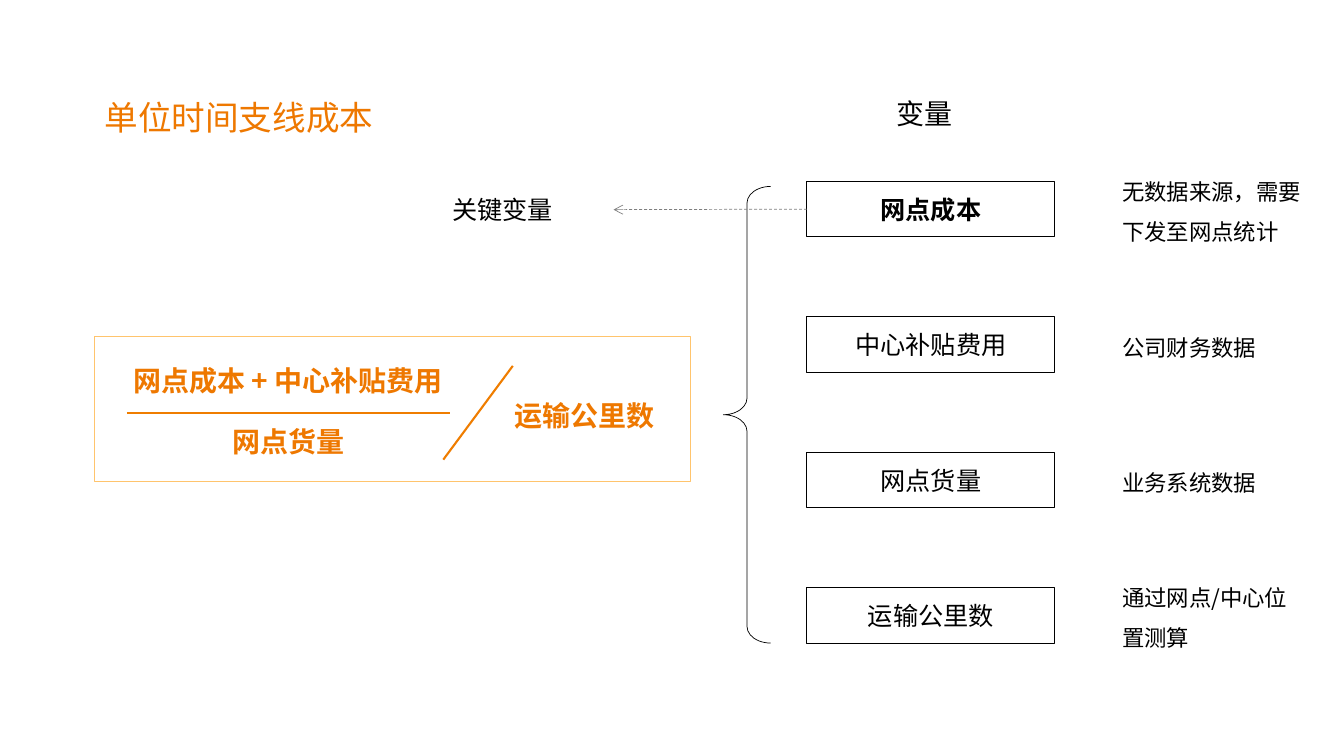
from lxml import etree
from pptx import Presentation
from pptx.dml.color import RGBColor
from pptx.enum.dml import MSO_LINE
from pptx.enum.shapes import MSO_CONNECTOR, MSO_SHAPE
from pptx.enum.text import MSO_ANCHOR, MSO_AUTO_SIZE, PP_ALIGN
from pptx.oxml.ns import qn
from pptx.util import Inches, Pt

FONT = "Noto Sans CJK SC"
ORANGE = RGBColor(0xEE, 0x78, 0x00)
RULE_ORANGE = RGBColor(0xEF, 0x7D, 0x00)
FRAME_ORANGE = RGBColor(0xFF, 0xC4, 0x6D)
BLACK = RGBColor(0, 0, 0)
GRAY = RGBColor(0x7F, 0x7F, 0x7F)
WHITE = RGBColor(0xFF, 0xFF, 0xFF)

LEFT, CENTER = PP_ALIGN.LEFT, PP_ALIGN.CENTER
MIDDLE = MSO_ANCHOR.MIDDLE
FIT_SHAPE = MSO_AUTO_SIZE.SHAPE_TO_FIT_TEXT
RECTANGLE, LEFT_BRACE = MSO_SHAPE.RECTANGLE, MSO_SHAPE.LEFT_BRACE
STRAIGHT = MSO_CONNECTOR.STRAIGHT
DASH = MSO_LINE.DASH

# Variable name and where its data comes from
VARIABLES = [
    ("网点成本", "无数据来源，需要下发至网点统计"),
    ("中心补贴费用", "公司财务数据"),
    ("网点货量", "业务系统数据"),
    ("运输公里数", "通过网点/中心位置测算"),
]
LINE_CHARS = 8  # characters that fit on one line of a source note


def set_text(sp, text, size, color=BLACK, bold=False, align=CENTER):
    tf = sp.text_frame
    tf.word_wrap = True
    p = tf.paragraphs[0]
    p.text = text
    p.alignment = align
    p.font.size = Pt(size)
    p.font.bold = bold
    p.font.color.rgb = color
    p.font.name = FONT
    # East Asian typeface
    etree.SubElement(p._p.pPr.find(qn("a:defRPr")), qn("a:ea"), typeface=FONT)


def add_text(s, x, y, w, h, text, size, color=BLACK, bold=False, align=CENTER):
    sp = s.shapes.add_textbox(Inches(x), Inches(y), Inches(w), Inches(h))
    set_text(sp, text, size, color, bold, align)
    sp.text_frame.auto_size = FIT_SHAPE
    return sp


def add_outline(s, kind, x, y, w, h, color, width):
    sp = s.shapes.add_shape(kind, Inches(x), Inches(y), Inches(w), Inches(h))
    sp.shadow.inherit = False
    sp.fill.background()
    sp.line.color.rgb = color
    sp.line.width = Pt(width)
    return sp


def add_line(s, x1, y1, x2, y2, color, width):
    line = s.shapes.add_connector(
        STRAIGHT, Inches(x1), Inches(y1), Inches(x2), Inches(y2))
    line.line.color.rgb = color
    line.line.width = Pt(width)
    etree.SubElement(line._element.spPr, qn("a:effectLst"))
    return line


def add_formula(s, x, y, w, h):
    # Fraction
    add_line(s, x + 0.32, y + 0.76, x + 3.53, y + 0.76, RULE_ORANGE, 1.5)
    add_text(s, x + 0.14, y + 0.22, 3.56, 0.44, "网点成本 + 中心补贴费用",
             20, ORANGE, True)
    add_text(s, x + 0.88, y + 0.82, 2.08, 0.44, "网点货量", 20, ORANGE, True)
    # Slash and divisor
    add_line(s, x + 4.15, y + 0.29, x + 3.46, y + 1.22, RULE_ORANGE, 1.5)
    add_text(s, x + 4, y + 0.56, 1.72, 0.44, "运输公里数", 20, ORANGE, True)
    # Frame
    add_outline(s, RECTANGLE, x, y, w, h, FRAME_ORANGE, 0.75)


def add_brace(s, x, y, w, h):
    sp = add_outline(s, LEFT_BRACE, x, y, w, h, BLACK, 0.5)
    sp.adjustments[0] = 0.35


def add_variables(s, x, y, w, h):
    """Stack the variable boxes from top to bottom; return the first box."""
    box_h = 0.55
    pitch = (h - box_h) / (len(VARIABLES) - 1)
    boxes = []
    for i, (name, source) in enumerate(VARIABLES):
        top = y + i * pitch
        box = add_outline(s, RECTANGLE, x, top, w, box_h, BLACK, 0.75)
        box.fill.solid()
        box.fill.fore_color.rgb = WHITE
        box.text_frame.vertical_anchor = MIDDLE
        set_text(box, name, 18, bold=i == 0)
        boxes.append(box)
        # Data source note, centred slightly above the box middle
        note_h = 0.9 if len(source) > LINE_CHARS else 0.5
        note = add_text(s, x + w + 0.57, top + box_h / 2 - 0.04 - note_h / 2,
                        1.99, note_h, source, 16, align=LEFT)
        note.text_frame.paragraphs[0].line_spacing = 1.5
    return boxes[0]


def add_key_label(s, x, y, w, h, key_box):
    label = add_text(s, x, y, w, h, "关键变量", 18)
    arrow = add_line(s, x + w, y + h / 2, x + w, y + h / 2, GRAY, 0.5)
    arrow.begin_connect(key_box, 1)
    arrow.end_connect(label, 3)
    arrow.line.dash_style = DASH
    line_xml = arrow._element.spPr.find(qn("a:ln"))
    etree.SubElement(line_xml, qn("a:tailEnd"), type="arrow")


def main():
    prs = Presentation()
    prs.slide_width, prs.slide_height = Inches(13.34), Inches(7.5)
    s = prs.slides.add_slide(prs.slide_layouts[6])
    # Headings
    add_text(s, 0.94, 0.91, 5.15, 0.5, "单位时间支线成本", 24, ORANGE, align=LEFT)
    add_text(s, 7.79, 0.91, 2.78, 0.44, "变量", 20)
    # Formula and its variables
    add_formula(s, 0.94, 3.34, 5.91, 1.44)
    add_brace(s, 7.18, 1.85, 0.47, 4.53)
    key_box = add_variables(s, 8.01, 1.8, 2.46, 4.58)
    add_key_label(s, 3.89, 1.88, 2.2, 0.4, key_box)
    prs.save("out.pptx")


if __name__ == "__main__":
    main()
